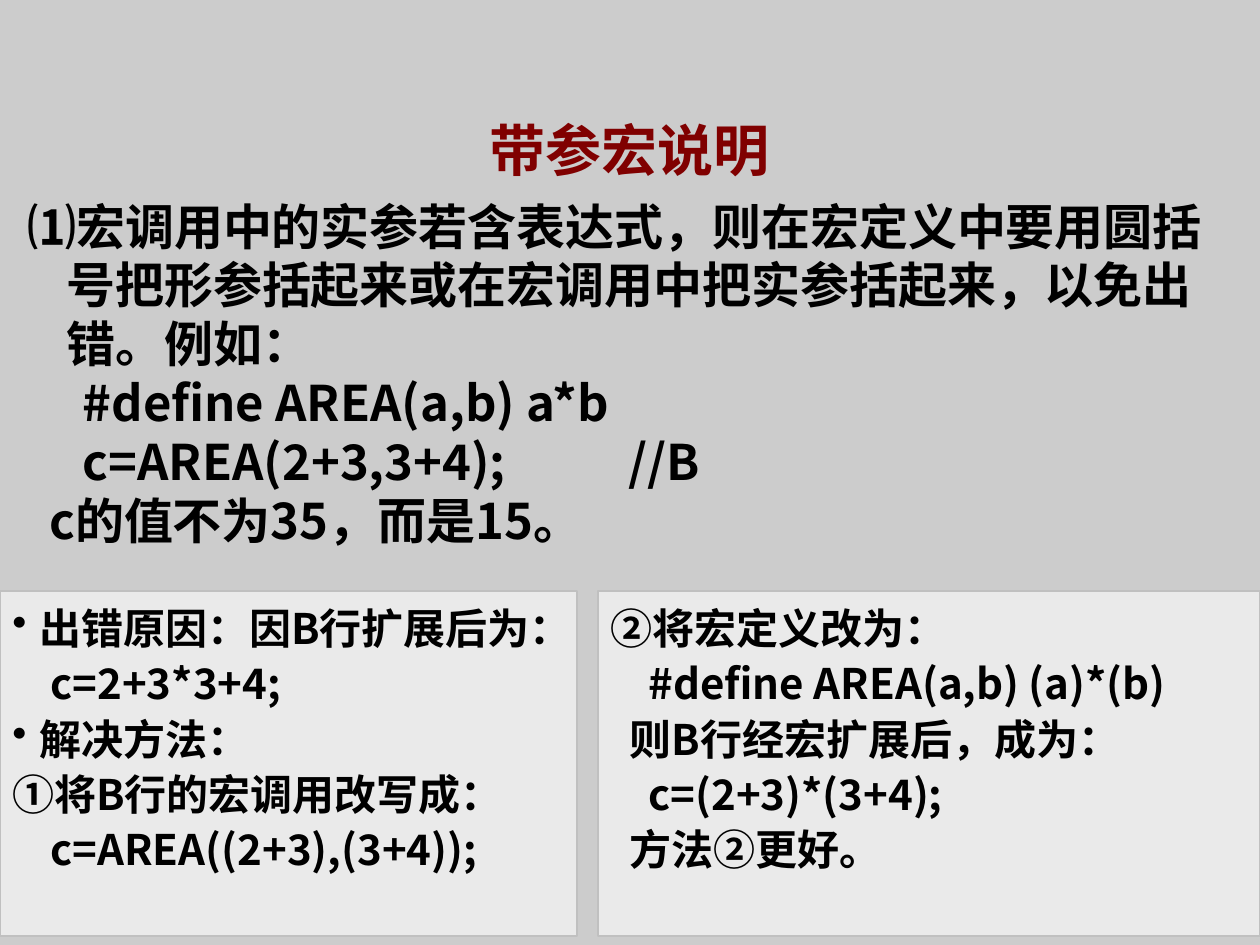
from lxml.etree import SubElement
from pptx import Presentation
from pptx.dml.color import RGBColor
from pptx.enum.shapes import MSO_SHAPE
from pptx.enum.text import MSO_ANCHOR, MSO_AUTO_SIZE, PP_ALIGN
from pptx.oxml.ns import qn
from pptx.util import Inches, Pt

PX_PER_INCH = 126
FONT = "Noto Sans CJK SC"
BACKGROUND = RGBColor(0xCC, 0xCC, 0xCC)
PANEL_FILL = RGBColor(0xEA, 0xEA, 0xEA)
PANEL_LINE = RGBColor(0xC0, 0xC0, 0xC0)
TITLE_COLOR = RGBColor(0x80, 0x00, 0x00)
BLACK = RGBColor(0, 0, 0)

PANEL_TOP, PANEL_HEIGHT = 591, 345

HANGING, BULLET, PLAIN = "hanging", "bullet", "plain"

RULE = [
    (HANGING, "⑴宏调用中的实参若含表达式，则在宏定义中要用圆括号把形参括起来或在宏调用中把实参括起来，以免出错。例如："),
    (HANGING, "     #define AREA(a,b) a*b"),
    (HANGING, "     c=AREA(2+3,3+4);           //B"),
    (PLAIN, "c的值不为35，而是15。"),
]
CAUSE = [
    (BULLET, "出错原因：因B行扩展后为："),
    (HANGING, "    c=2+3*3+4;"),
    (BULLET, "解决方法："),
    (HANGING, "①将B行的宏调用改写成："),
    (HANGING, "    c=AREA((2+3),(3+4));"),
]
REMEDY = [
    (HANGING, "②将宏定义改为："),
    (HANGING, "    #define AREA(a,b) (a)*(b)"),
    (PLAIN, "则B行经宏扩展后，成为："),
    (HANGING, "    c=(2+3)*(3+4);"),
    (PLAIN, "方法②更好。"),
]


def px(length):
    return round(Inches(length / PX_PER_INCH))


def format_runs(paragraph, size, color):
    for run in paragraph.runs:
        run.font.size = Pt(size)
        run.font.bold = True
        run.font.name = FONT
        run.font.color.rgb = color
        SubElement(run.font._element, qn("a:ea")).set("typeface", FONT)


def set_indent(paragraph, kind, hang, inset):
    properties = paragraph._p.get_or_add_pPr()
    left, first = (inset, 0) if kind == PLAIN else (hang, -hang)
    properties.set("marL", str(px(left)))
    properties.set("indent", str(px(first)))
    if kind == BULLET:
        bullet_color = SubElement(properties, qn("a:buClr"))
        SubElement(bullet_color, qn("a:srgbClr")).set("val", str(BLACK))
        SubElement(properties, qn("a:buChar")).set("char", "•")
    else:
        SubElement(properties, qn("a:buNone"))


def fill_text(frame, lines, size, hang, inset, spacing):
    frame.word_wrap = True
    frame.auto_size = MSO_AUTO_SIZE.SHAPE_TO_FIT_TEXT
    frame.vertical_anchor = MSO_ANCHOR.TOP
    frame.text = "\n".join(text for _, text in lines)
    for paragraph, (kind, _) in zip(frame.paragraphs, lines):
        set_indent(paragraph, kind, hang, inset)
        paragraph.alignment = PP_ALIGN.LEFT
        paragraph.line_spacing = spacing
        format_runs(paragraph, size, BLACK)


def add_title(slide, text):
    title = slide.shapes.title
    title.left, title.top, title.width, title.height = map(px, (10, 76, 1239, 113))
    frame = title.text_frame
    frame.text = text
    frame.vertical_anchor = MSO_ANCHOR.MIDDLE
    frame.auto_size = MSO_AUTO_SIZE.SHAPE_TO_FIT_TEXT
    paragraph = frame.paragraphs[0]
    paragraph.alignment = PP_ALIGN.CENTER
    paragraph.line_spacing = 1.5
    format_runs(paragraph, 32, TITLE_COLOR)


def add_rule(slide, lines):
    rule = slide.shapes.add_textbox(*map(px, (15, 190, 1229, 365)))
    fill_text(rule.text_frame, lines, 28, hang=39, inset=22, spacing=1.0)


def add_panel(slide, left, width, lines, hang):
    panel = slide.shapes.add_shape(
        MSO_SHAPE.RECTANGLE, *map(px, (left, PANEL_TOP, width, PANEL_HEIGHT))
    )
    panel.shadow.inherit = False
    panel.fill.solid()
    panel.fill.fore_color.rgb = PANEL_FILL
    panel.line.color.rgb = PANEL_LINE
    panel.line.width = Pt(0.75)
    fill_text(panel.text_frame, lines, 24, hang=hang, inset=19, spacing=1.1)


def main():
    presentation = Presentation()
    presentation.slide_width = px(1260)
    presentation.slide_height = px(945)
    slide = presentation.slides.add_slide(presentation.slide_layouts[5])
    slide.background.fill.solid()
    slide.background.fill.fore_color.rgb = BACKGROUND
    add_title(slide, "带参宏说明")
    add_rule(slide, RULE)
    add_panel(slide, 0, 577, CAUSE, hang=27)
    add_panel(slide, 598, 662, REMEDY, hang=40)
    presentation.save("out.pptx")


if __name__ == "__main__":
    main()
